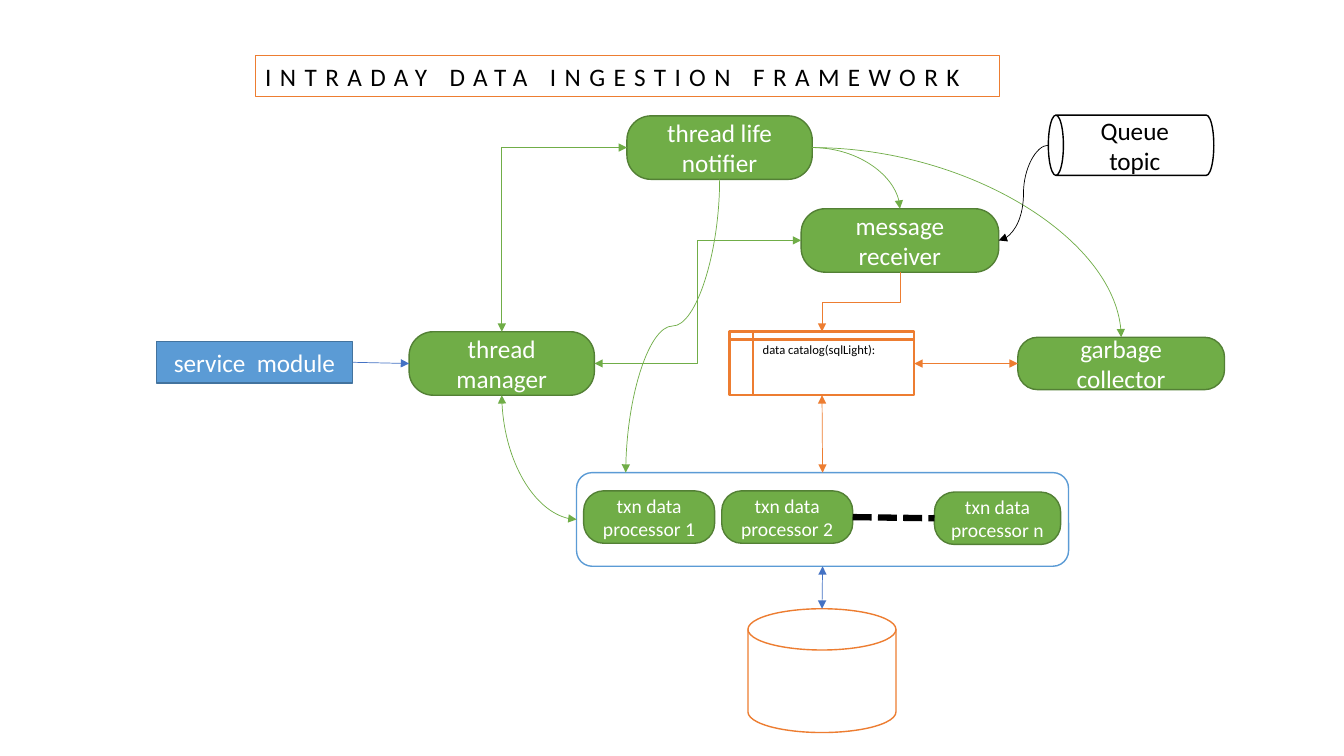
from lxml.etree import SubElement
from pptx import Presentation
from pptx.dml.color import RGBColor
from pptx.enum.dml import MSO_LINE
from pptx.enum.shapes import MSO_CONNECTOR, MSO_SHAPE
from pptx.enum.text import MSO_ANCHOR, PP_ALIGN
from pptx.oxml.ns import qn
from pptx.util import Cm, Pt

GREEN, DARK_GREEN, ORANGE = "70AD47", "538035", "ED7D31"
BLUE, DARK_BLUE, ARROW_BLUE = "5B9BD5", "43739E", "4472C4"
WHITE, BLACK = "FFFFFF", "000000"

TITLE = "INTRADAY DATA INGESTION FRAMEWORK"
TITLE_BOX = (6.43, 1.4, 18.75, 1.03)

STYLES = {
    "stage": (MSO_SHAPE.ROUNDED_RECTANGLE, GREEN, DARK_GREEN, 1),
    "service": (MSO_SHAPE.RECTANGLE, BLUE, DARK_BLUE, 1),
    "pool": (MSO_SHAPE.ROUNDED_RECTANGLE, WHITE, BLUE, 1),
    "catalog": (MSO_SHAPE.FLOWCHART_INTERNAL_STORAGE, WHITE, ORANGE, 1.75),
    "store": (MSO_SHAPE.FLOWCHART_MAGNETIC_DISK, WHITE, ORANGE, 1),
    "topic": (MSO_SHAPE.CAN, WHITE, BLACK, 1),
}

PARTS = {
    "catalog": ("catalog", "data catalog(sqlLight):", 9, (18.39, 8.36, 4.65, 1.6)),
    "receiver": ("stage", "message receiver", 18, (20.19, 5.26, 4.98, 1.6)),
    "service": ("service", "service  module", 18, (3.94, 8.61, 4.95, 1.04)),
    "manager": ("stage", "thread manager", 18, (10.31, 8.36, 4.67, 1.6)),
    "notifier": ("stage", "thread life notifier", 18, (15.8, 2.92, 4.67, 1.6)),
    "collector": ("stage", "garbage collector", 18, (25.65, 8.5, 5.21, 1.32)),
    "pool": ("pool", "", 14, (14.53, 11.91, 12.4, 2.36)),
    "processor 1": ("stage", "txn data processor 1", 14, (14.71, 12.37, 3.3, 1.32)),
    "processor 2": ("stage", "txn data processor 2", 14, (18.19, 12.37, 3.3, 1.32)),
    "processor n": ("stage", "txn data processor n", 14, (23.55, 12.4, 3.18, 1.32)),
    "store": ("store", "", 14, (18.85, 15.34, 3.73, 3.12)),
    "topic": ("topic", "Queue topic", 18, (26.42, 2.9, 4.17, 1.52)),
}

SIDES = {"left": (0, 0.5), "right": (1, 0.5), "top": (0.5, 0),
         "bottom": (0.5, 1), "top start": (0.1, 0)}
BOTH, FORWARD, PLAIN = ("headEnd", "tailEnd"), ("tailEnd",), ()
STRAIGHT, BENT, CURVED = MSO_CONNECTOR.STRAIGHT, MSO_CONNECTOR.ELBOW, MSO_CONNECTOR.CURVE

LINKS = [
    ("receiver", "bottom", "catalog", "top", BENT, ORANGE, FORWARD),
    ("service", "right", "manager", "left", STRAIGHT, ARROW_BLUE, FORWARD),
    ("manager", "right", "receiver", "left", BENT, GREEN, BOTH),
    ("manager", "top", "notifier", "left", BENT, GREEN, BOTH),
    ("notifier", "right", "receiver", "top", CURVED, GREEN, FORWARD),
    ("notifier", "right", "collector", "top", CURVED, GREEN, FORWARD),
    ("collector", "left", "catalog", "right", STRAIGHT, ORANGE, BOTH),
    ("catalog", "bottom", "pool", "top", STRAIGHT, ORANGE, BOTH),
    ("notifier", "bottom", "pool", "top start", CURVED, GREEN, FORWARD),
    ("manager", "bottom", "pool", "left", CURVED, GREEN, BOTH),
    ("pool", "bottom", "store", "top", STRAIGHT, ARROW_BLUE, BOTH),
    ("topic", "left", "receiver", "right", CURVED, BLACK, FORWARD),
    ("processor 2", "right", "processor n", "left", STRAIGHT, BLACK, PLAIN),
]


def color(value):
    return RGBColor.from_string(value)


def outline(line, value, width):
    line.color.rgb = color(value)
    line.width = Pt(width)


def write(part, text, size=18, ink=WHITE, align=PP_ALIGN.CENTER,
          anchor=MSO_ANCHOR.MIDDLE, spacing=0):
    frame = part.text_frame
    frame.text = text
    frame.word_wrap = True
    frame.vertical_anchor = anchor
    paragraph = frame.paragraphs[0]
    paragraph.alignment = align
    font = paragraph.runs[0].font
    font.name, font.size, font.color.rgb = "Calibri", Pt(size), color(ink)
    if spacing:
        paragraph.runs[0]._r.get_or_add_rPr().set("spc", str(spacing * 100))


def draw_part(slide, style, text, size, box):
    preset, fill, edge, width = STYLES[style]
    x, y, w, h = box
    if style == "topic":
        x, y, w, h = x + (w - h) / 2, y + (h - w) / 2, h, w
    part = slide.shapes.add_shape(preset, Cm(x), Cm(y), Cm(w), Cm(h))
    part.shadow.inherit = False
    part.fill.solid()
    part.fill.fore_color.rgb = color(fill)
    outline(part.line, edge, width)
    if style == "stage":
        part.adjustments[0] = 0.38
    if style == "catalog":
        part.text_frame.margin_top = Cm(0.06)
        write(part, text, size, BLACK, PP_ALIGN.LEFT, MSO_ANCHOR.TOP)
    elif text:
        write(part, text, size, BLACK if style == "topic" else WHITE)
    if style == "topic":
        part.rotation = 270
        part.text_frame._txBody.bodyPr.set("vert", "vert")


def port(name, side):
    x, y, w, h = PARTS[name][3]
    across, down = SIDES[side]
    return x + w * across, y + h * down


def draw_link(slide, source, exit_side, target, entry_side, route, ink, arrows):
    (x1, y1), (x2, y2) = port(source, exit_side), port(target, entry_side)
    upright = [side not in ("left", "right") for side in (exit_side, entry_side)]
    turned = route != STRAIGHT and upright[0]
    dx, dy = (y2 - y1, x1 - x2) if turned else (x2 - x1, y2 - y1)
    mid_x, mid_y = (x1 + x2) / 2, (y1 + y2) / 2
    link = slide.shapes.add_connector(
        route, Cm(mid_x - dx / 2), Cm(mid_y - dy / 2),
        Cm(mid_x + dx / 2), Cm(mid_y + dy / 2))
    properties = link._element.spPr
    if turned:
        properties.find(qn("a:xfrm")).set("rot", str(90 * 60000))
    if route != STRAIGHT and upright[0] != upright[1]:
        corner = "bentConnector2" if route == BENT else "curvedConnector2"
        properties.find(qn("a:prstGeom")).set("prst", corner)
    outline(link.line, ink, 0.5 if arrows else 4.5)
    if not arrows:
        link.line.dash_style = MSO_LINE.SQUARE_DOT
    for end in arrows:
        SubElement(properties.find(qn("a:ln")), qn("a:" + end), type="triangle")
    SubElement(properties, qn("a:effectLst"))


def main():
    """Build the ingestion framework slide and save it."""
    deck = Presentation()
    deck.slide_width, deck.slide_height = Cm(33.87), Cm(19.05)
    slide = deck.slides.add_slide(deck.slide_layouts[5])
    title = slide.shapes.title
    title.left, title.top, title.width, title.height = map(Cm, TITLE_BOX)
    outline(title.line, ORANGE, 0.75)
    write(title, TITLE, ink=BLACK, align=PP_ALIGN.LEFT, spacing=6)
    for part in PARTS.values():
        draw_part(slide, *part)
    for link in LINKS:
        draw_link(slide, *link)
    deck.save("out.pptx")


main()
